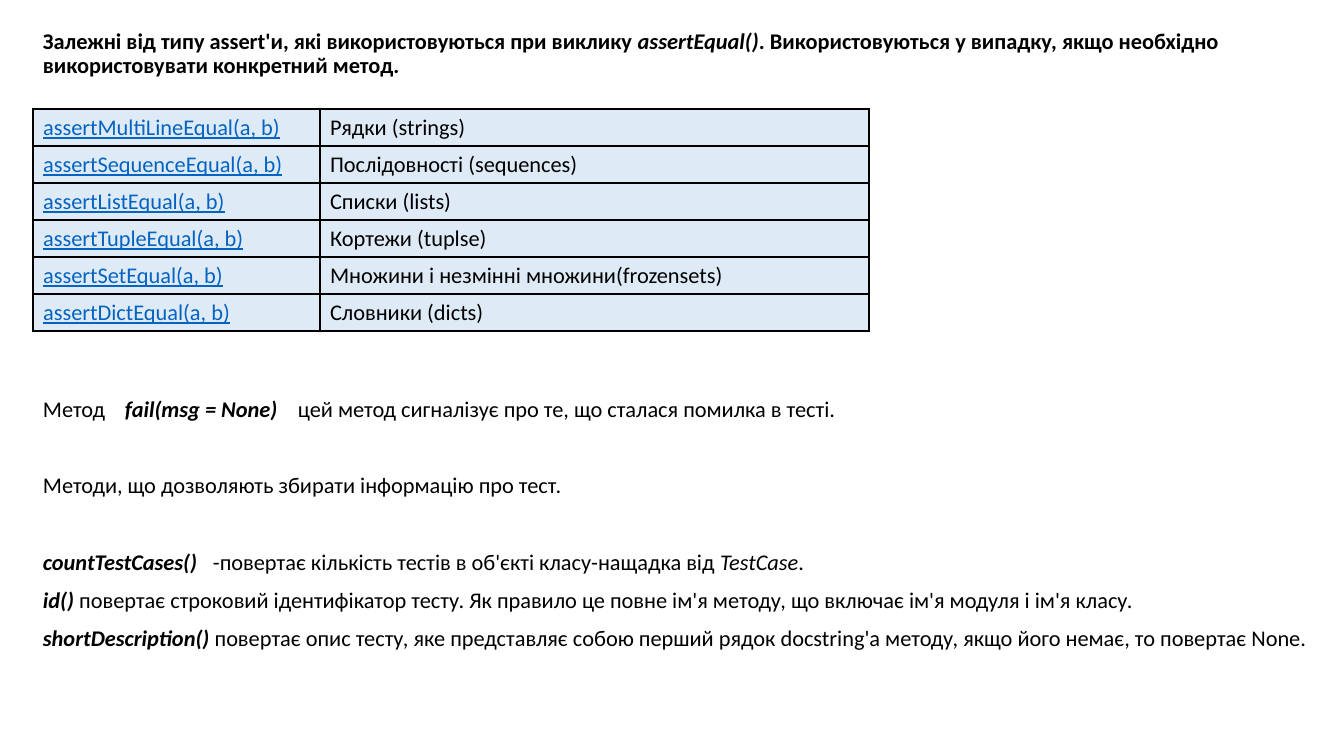
from dataclasses import dataclass

from lxml.etree import SubElement as Sub
from pptx import Presentation
from pptx.dml.color import RGBColor as Color
from pptx.enum.text import MSO_ANCHOR as Anchor
from pptx.oxml.ns import qn
from pptx.util import Pt

PX = 914400 / 100.8


@dataclass(frozen=True)
class Theme:
    font: str = "Calibri"
    size: int = 16
    ink: str = "000000"
    link: str = "0563C1"
    fill: str = "DEEBF7"
    edge: int = 1
    lead: float = 0.9
    gap: int = 10
    wide_gap: float = 37.3


BOLD = {"bold": True}
SLANT = {"italic": True}
BOTH = BOLD | SLANT
LINK = {"underline": True}

HEAD = [
    ("Залежні від типу assert'и, які використовуються при виклику ", BOLD),
    ("assertEqual()", BOTH),
    (". Використовуються у випадку, якщо необхідно "
     "використовувати конкретний метод.", BOLD),
]

CHECKS = [
    ("assertMultiLineEqual(a, b)", "Рядки (strings)"),
    ("assertSequenceEqual(a, b)", "Послідовності (sequences)"),
    ("assertListEqual(a, b)", "Списки (lists)"),
    ("assertTupleEqual(a, b)", "Кортежи (tuplse)"),
    ("assertSetEqual(a, b)", "Множини і незмінні множини(frozensets)"),
    ("assertDictEqual(a, b)", "Словники (dicts)"),
]

FAIL = [
    ("Метод\t", {}),
    ("fail(msg = None)\t", BOTH),
    ("цей метод сигналізує про те, що сталася помилка в тесті.", {}),
]
INFO = [("Методи, що дозволяють збирати інформацію про тест.", {})]
COUNT = [
    ("countTestCases()\t", BOTH),
    ("-повертає кількість тестів в об'єкті класу-нащадка від ", {}),
    ("TestCase", SLANT),
    (".", {}),
]
IDENT = [
    ("id() ", BOTH),
    ("повертає строковий ідентифікатор тесту. Як правило це повне ім'я "
     "методу, що включає ім'я модуля і ім'я класу.", {}),
]
SHORT = [
    ("shortDescription() ", BOTH),
    ("повертає опис тесту, яке представляє собою перший рядок docstring'а "
     "методу, якщо його немає, то повертає None.", {}),
]


def px(num):
    return round(num * PX)


class Deck:
    def __init__(self, theme, wide, high):
        self.theme = theme
        self.prs = Presentation()
        self.prs.slide_width, self.prs.slide_height = px(wide), px(high)
        self.slide = self.prs.slides.add_slide(self.prs.slide_layouts[6])

    def run(self, para, text, form, color):
        run = para.add_run()
        run.text = text
        base = {"name": self.theme.font, "size": Pt(self.theme.size)}
        for key, val in (base | form).items():
            setattr(run.font, key, val)
        run.font.color.rgb = Color.from_string(color)

    def text(self, box, paras):
        """Add a text box; each paragraph is (runs, space before, tab stops)."""
        frame = self.slide.shapes.add_textbox(*map(px, box)).text_frame
        frame.word_wrap = True
        for num, (runs, gap, tabs) in enumerate(paras):
            para = frame.add_paragraph() if num else frame.paragraphs[0]
            form = {"line_spacing": self.theme.lead, "space_before": Pt(gap)}
            for key, val in form.items():
                setattr(para, key, val)
            if tabs:
                stops = Sub(para._p.get_or_add_pPr(), qn("a:tabLst"))
                for tab in tabs:
                    Sub(stops, qn("a:tab"), pos=str(px(tab)), algn="l")
            for text, style in runs:
                self.run(para, text, style, self.theme.ink)

    def border(self, cell):
        props = cell._tc.get_or_add_tcPr()
        for side in "LRTB":
            line = Sub(props, qn(f"a:ln{side}"), w=str(Pt(self.theme.edge)))
            fill = Sub(line, qn("a:solidFill"))
            Sub(fill, qn("a:srgbClr"), val=self.theme.ink)

    def table(self, left, top, cols, high, rows):
        box = left, top, sum(cols), high * len(rows)
        grid = self.slide.shapes.add_table(
            len(rows), len(cols), *map(px, box)).table
        grid.first_row = grid.horz_banding = False
        for col, wide in zip(grid.columns, cols):
            col.width = px(wide)
        looks = (LINK, self.theme.link), ({}, self.theme.ink)
        for row, texts in zip(grid.rows, rows):
            row.height = px(high)
            for cell, text, (form, color) in zip(row.cells, texts, looks):
                self.border(cell)
                cell.fill.solid()
                cell.fill.fore_color.rgb = Color.from_string(self.theme.fill)
                cell.vertical_anchor = Anchor.MIDDLE
                self.run(cell.text_frame.paragraphs[0], text, form, color)


def main():
    theme = Theme()
    deck = Deck(theme, 1344, 756)
    deck.text((33, 25, 1299, 60), [(HEAD, 0, ())])
    deck.table(33, 109, (287, 549), 37, CHECKS)
    deck.text((33, 393, 1299, 270), [
        (FAIL, 0, (82, 255)),
        (INFO, theme.wide_gap, ()),
        (COUNT, theme.wide_gap, (170,)),
        (IDENT, theme.gap, ()),
        (SHORT, theme.gap, ()),
    ])
    deck.prs.save("out.pptx")


if __name__ == "__main__":
    main()
